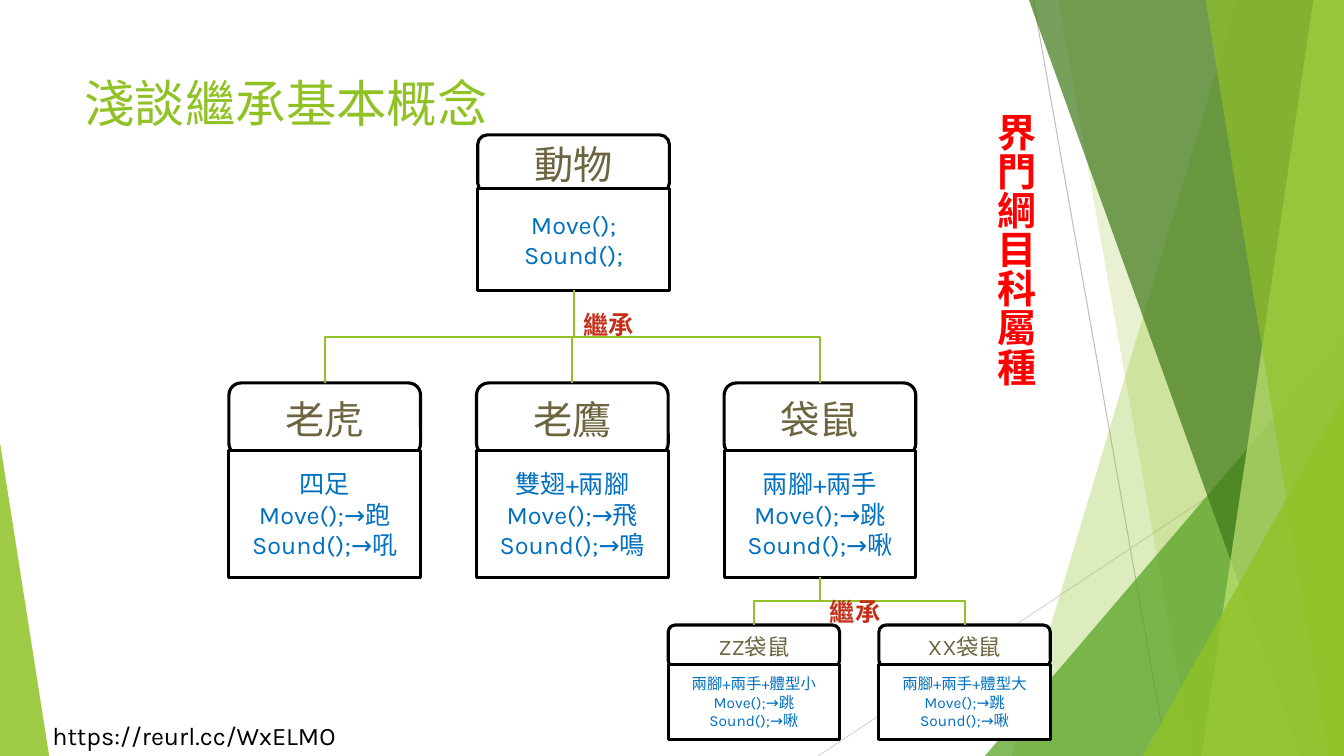
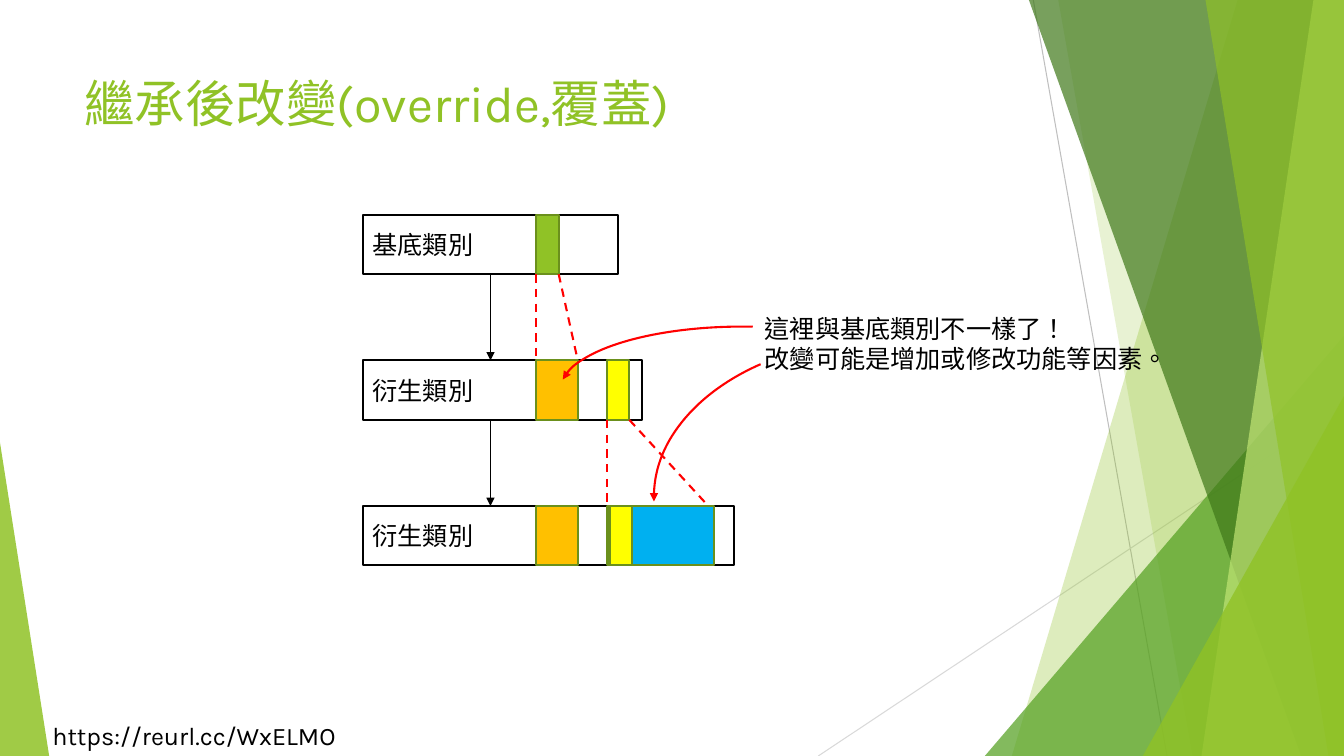
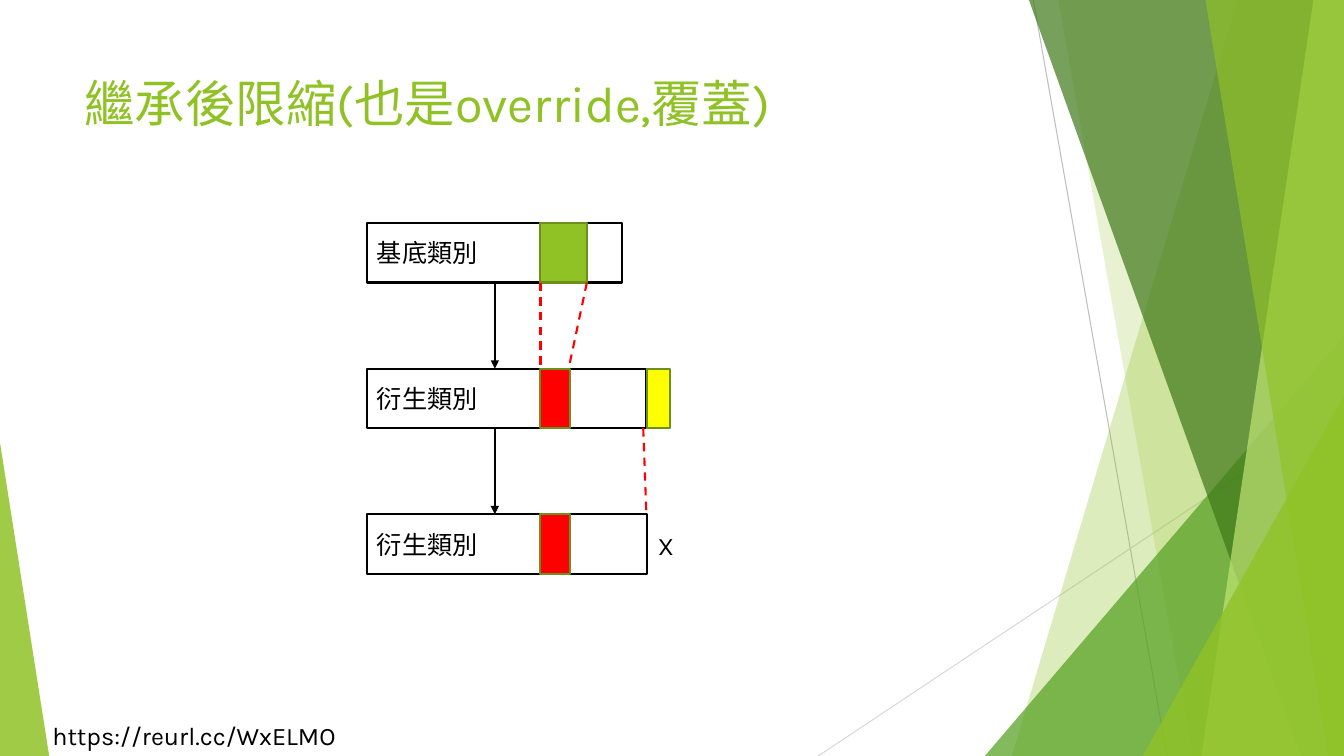
from lxml import etree
from pptx import Presentation
from pptx.dml.color import RGBColor
from pptx.enum import dml, shapes, text
from pptx.oxml.ns import qn
from pptx.util import Cm, Pt

INK = {
    "lime": "90C226", "leaf": "54A021", "moss": "3F7819", "pale": "C0E474",
    "edge": "6B901C", "gray": "BFBFBF", "mist": "D9D9D9", "black": "000000",
    "white": "FFFFFF", "olive": "6D6540", "blue": "0070C0", "rust": "C42F1A",
    "red": "FF0000", "gold": "FFC000", "yellow": "FFFF00", "sky": "00B0F0",
}
FONT = "Karla"
WIDE, HIGH = 33.87, 19.05
KIND = shapes.MSO_SHAPE
LINK = shapes.MSO_CONNECTOR
MID = text.PP_ALIGN.CENTER


def tint(name):
    return RGBColor.from_string(INK[name])


def write(frame, lines, size, color, bold=False, align=None):
    frame.text = "\n".join(lines)
    for para in frame.paragraphs:
        para.alignment = align or text.PP_ALIGN.LEFT
        for run in para.runs:
            run.font.name = FONT
            run.font.size = Pt(size)
            run.font.bold = bold
            run.font.color.rgb = tint(color)
            run._r.get_or_add_rPr().set("lang", "zh-TW")


def label(slide, box, lines, size, color, bold=False, wrap=False):
    area = slide.shapes.add_textbox(*map(Cm, box))
    area.text_frame.word_wrap = wrap
    write(area.text_frame, lines, size, color, bold)
    return area


def paint(shape, fill, edge=None, width=1.5, alpha=None):
    shape.shadow.inherit = False
    if fill:
        shape.fill.solid()
        shape.fill.fore_color.rgb = tint(fill)
    else:
        shape.fill.background()
    if alpha:
        color = shape._element.spPr.find(qn("a:solidFill"))[0]
        etree.SubElement(color, qn("a:alpha")).set("val", str(alpha * 1000))
    if edge:
        shape.line.color.rgb = tint(edge)
        shape.line.width = Pt(width)
    else:
        shape.line.fill.background()


def block(slide, kind, box, fill, edge=None, width=1.5, alpha=None):
    shape = slide.shapes.add_shape(kind, *map(Cm, box))
    paint(shape, fill, edge, width, alpha)
    return shape


def tip(shape, end):
    mark = etree.SubElement(shape.line._get_or_add_ln(), qn("a:" + end))
    mark.set("type", "triangle")


def stroke(slide, start, end, color, width, dash=False, arrow=False, kind=LINK.STRAIGHT):
    line = slide.shapes.add_connector(kind, *map(Cm, (*start, *end)))
    line.line.color.rgb = tint(color)
    line.line.width = Pt(width)
    if dash:
        line.line.dash_style = dml.MSO_LINE.DASH
    if arrow:
        tip(line, "tailEnd")
    etree.SubElement(line._element.spPr, qn("a:effectLst"))
    return line


def panel(slide, top, base, color, alpha):
    edge = [(WIDE, 0), (WIDE, HIGH), (base, HIGH)]
    form = slide.shapes.build_freeform(Cm(top), 0)
    form.add_line_segments([(Cm(x), Cm(y)) for x, y in edge], close=True)
    paint(form.convert_to_shape(), color, alpha=alpha)


def wedge(slide, x, y, width, peak, color, alpha):
    shape = block(slide, KIND.ISOSCELES_TRIANGLE, (x, y, width, HIGH - y), color, alpha=alpha)
    shape.adjustments[0] = peak


def scene(deck, title):
    slide = deck.slides.add_slide(deck.slide_layouts[6])
    stroke(slide, (26.04, 0), (29.41, HIGH), "gray", 0.75)
    stroke(slide, (WIDE, 10.24), (20.62, HIGH), "mist", 0.75)
    panel(slide, 31.19, 25.5, "lime", 30)
    panel(slide, 26.67, 30.05, "lime", 20)
    wedge(slide, 24.82, 8.46, 9.05, 1, "leaf", 72)
    panel(slide, 25.93, 32.79, "moss", 70)
    panel(slide, 33.1, 30.28, "pale", 70)
    panel(slide, 30.38, 33.48, "lime", 65)
    wedge(slide, 28.8, 9.98, 5.07, 1, "lime", 80)
    wedge(slide, 0, 11.15, 1.24, 0, "lime", 85)
    label(slide, (1.07, 18.03, 7.92, 1.02), ["https://reurl.cc/WxELMO"], 18, "black")
    label(slide, (1.88, 1.7, 23.88, 3.66), [title], 36, "lime", wrap=True)
    return slide


def node(slide, box, head, name, lines, big=28, small=18):
    x, y, width, height = box
    body = y + 0.93 * head
    parts = [
        (KIND.ROUNDED_RECTANGLE, y, head, [name], big, "olive"),
        (KIND.RECTANGLE, body, y + height - body, lines, small, "blue"),
    ]
    for kind, top, tall, words, size, color in parts:
        shape = block(slide, kind, (x, top, width, tall), "white", "black", 2.25)
        shape.text_frame.word_wrap = True
        shape.text_frame.vertical_anchor = text.MSO_ANCHOR.MIDDLE
        write(shape.text_frame, words, size, color, align=MID)
    return (x + width / 2, y), (x + width / 2, y + height)


def branch(slide, start, ends):
    x, y = start
    for end_x, end_y in ends:
        half, side = (end_y - y) / 2, abs(end_x - x) / 2
        mid_x, mid_y = (x + end_x) / 2, (y + end_y) / 2
        turn, way = (270, -1) if end_x > x else (90, 1)
        line = stroke(slide, (mid_x - way * half, mid_y - side),
                      (mid_x + way * half, mid_y + side), "lime", 1.5, kind=LINK.ELBOW)
        line._element.spPr.find(qn("a:xfrm")).set("rot", str(turn * 60000))
    label(slide, (x, y + 0.36, 1.8, 1.02), ["繼承"], 18, "rust", True)


def tree(slide, x, y):
    root = node(slide, (x + 6.27, y, 4.83, 3.92), 1.45, "動物", ["Move();", "Sound();"])
    kinds = [
        ("老虎", ["四足", "Move();→跑", "Sound();→吼"]),
        ("老鷹", ["雙翅+兩腳", "Move();→飛", "Sound();→鳴"]),
        ("袋鼠", ["兩腳+兩手", "Move();→跳", "Sound();→啾"]),
    ]
    kids = [node(slide, (x + 6.24 * i, y + 6.25, 4.83, 4.9), 1.83, *kind)
            for i, kind in enumerate(kinds)]
    branch(slide, root[1], [kid[0] for kid in kids])
    sorts = [("ZZ袋鼠", "小"), ("XX袋鼠", "大")]
    young = [node(slide, (x + 11.07 + 5.31 * i, y + 12.35, 4.32, 2.89), 1.07, name,
                  ["兩腳+兩手+體型" + size, "Move();→跳", "Sound();→啾"], 16, 11)
             for i, (name, size) in enumerate(sorts)]
    branch(slide, kids[-1][1], [kid[0] for kid in young])


def ladder(slide, x, y, rows, links):
    tall, step = 1.5, 3.67
    for i, (width, bands) in enumerate(rows):
        top = y + i * step
        bar = block(slide, KIND.RECTANGLE, (x, top, width, tall), "white", "black")
        bar.text_frame.vertical_anchor = text.MSO_ANCHOR.MIDDLE
        write(bar.text_frame, ["衍生類別" if i else "基底類別"], 18, "black")
        for left, wide, color in bands:
            block(slide, KIND.RECTANGLE, (x + left, top, wide, tall), color, "edge")
        if i:
            stroke(slide, (x + 3.22, top - step + tall), (x + 3.22, top), "black", 1, arrow=True)
    for i, start, end in links:
        top = y + i * step
        stroke(slide, (x + start, top + tall), (x + end, top + step), "red", 1.5, dash=True)


def note(slide, x, y):
    curves = [
        ((x - 4.9, y + 0.46, 9.17, 3.2), (110.01, 167.68)),
        ((x - 2.54, y + 0.76, 11.84, 8), (107.37, 135.63)),
    ]
    for box, turns in curves:
        curve = block(slide, KIND.ARC, box, None, "red")
        curve.adjustments[0], curve.adjustments[1] = turns
        tip(curve, "headEnd")
    label(slide, (x, y, 10.77, 2.57),
          ["這裡與基底類別不一樣了！", "改變可能是增加或修改功能等因素。"], 18, "black", wrap=True)


def main():
    deck = Presentation()
    deck.slide_width, deck.slide_height = Cm(WIDE), Cm(HIGH)

    slide = scene(deck, "淺談繼承基本概念")
    tree(slide, 5.77, 3.4)
    ranks = label(slide, (24.61, 2.59, 1.7, 7.24), ["界門綱目科屬種"], 28, "red", True)
    ranks.text_frame._txBody.bodyPr.set("vert", "eaVert")

    slide = scene(deck, "繼承後改變(override,覆蓋)")
    gold = (4.37, 1.05, "gold")
    ladder(slide, 9.14, 5.41, [
        (6.43, [(4.37, 0.57, "lime")]),
        (7.04, [gold, (6.15, 0.57, "yellow")]),
        (9.35, [gold, (6.17, 2.69, "sky"), (6.22, 0.57, "yellow")]),
    ], [(0, 4.37, 4.37), (0, 4.94, 5.42), (1, 6.15, 6.15), (1, 6.72, 8.71)])
    note(slide, 19.02, 7.77)

    slide = scene(deck, "繼承後限縮(也是override,覆蓋)")
    red = (4.37, 0.74, "red")
    ladder(slide, 9.25, 5.62, [
        (6.43, [(4.37, 1.17, "lime")]),
        (7.04, [red, (7.06, 0.57, "yellow")]),
        (7.06, [red]),
    ], [(0, 4.37, 4.37), (0, 5.54, 5.08), (1, 6.96, 7.04)])
    label(slide, (16.33, 13.23, 0.84, 1.02), ["X"], 18, "black")

    deck.save("out.pptx")


if __name__ == "__main__":
    main()
